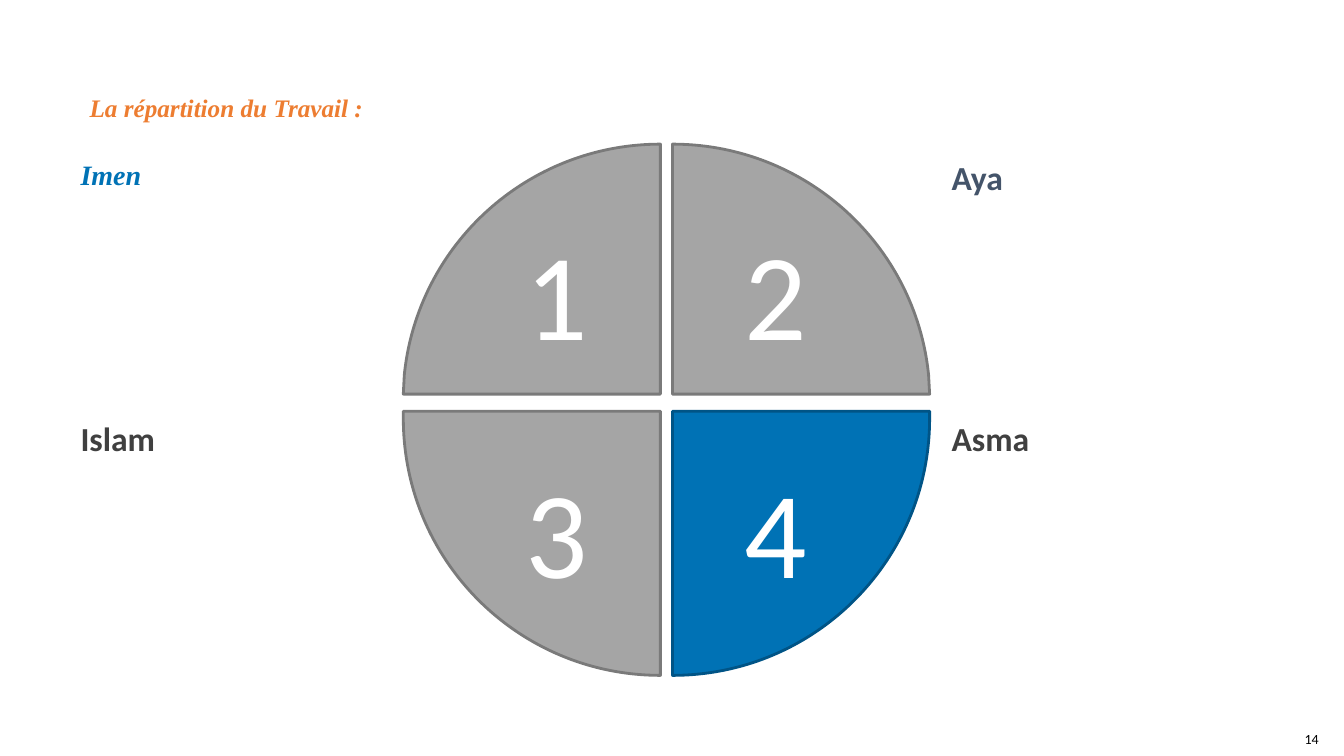
import lxml.etree
import pptx
import pptx.dml.color
import pptx.enum.text
import pptx.oxml.ns
import pptx.util

Inches = pptx.util.Inches
Pt = pptx.util.Pt
Align = pptx.enum.text.PP_ALIGN
Anchor = pptx.enum.text.MSO_ANCHOR
qn = pptx.oxml.ns.qn

COLORS = {
    "orange": "ED7D31",
    "blue": "0072B5",
    "blue_edge": "005486",
    "gray": "A5A5A5",
    "gray_edge": "7A7A7A",
    "white": "FFFFFF",
    "black": "000000",
    "dark": "404040",
    "slate": "44546A",
}
SERIF = {"name": "Times New Roman", "bold": True, "italic": True}
SANS_BOLD = {"name": "Calibri", "bold": True}
SANS = {"name": "Calibri"}
DEFAULT_INSETS = (0.1, 0.05, 0.1, 0.05)
UPPER_OUTLINE = [(0, 2.48), (1.32, 2.48), (2.41, 1.48), (2.54, 0.19), (2.55, 0)]
LOWER_OUTLINE = [(0, 2.62), (1.41, 2.62), (2.55, 1.48), (2.55, 0.07), (2.55, 0)]


def rgb(name):
    return pptx.dml.color.RGBColor.from_string(COLORS[name])


def apply_format(target, values):
    for name, value in values.items():
        setattr(target, name, value)


def add_text(page, text, area, size, color, font, insets=DEFAULT_INSETS,
             wrap=True, align=Align.LEFT, anchor=Anchor.TOP):
    box = page.shapes.add_textbox(*(Inches(length) for length in area))
    left, top, right, bottom = (Inches(inset) for inset in insets)
    apply_format(box.text_frame, {
        "word_wrap": wrap,
        "auto_size": pptx.enum.text.MSO_AUTO_SIZE.SHAPE_TO_FIT_TEXT,
        "vertical_anchor": anchor,
        "margin_left": left,
        "margin_top": top,
        "margin_right": right,
        "margin_bottom": bottom,
    })
    para = box.text_frame.paragraphs[0]
    para.alignment = align
    span = para.add_run()
    span.text = text
    apply_format(span.font, {"size": Pt(size), **font})
    span.font.color.rgb = rgb(color)


def bend_segment(shape, segment, points):
    curve = lxml.etree.Element(qn("a:cubicBezTo"))
    for x, y in points:
        point = lxml.etree.SubElement(curve, qn("a:pt"))
        point.set("x", str(x - shape.left))
        point.set("y", str(y - shape.top))
    segment.getparent().replace(segment, curve)


def add_quadrant(page, corner_x, corner_y, side_x, side_y, outline, fill, edge):
    apex, *controls, arc_end, side_end = [
        (Inches(corner_x + side_x * x), Inches(corner_y + side_y * y))
        for x, y in outline
    ]
    builder = page.shapes.build_freeform(Inches(corner_x), Inches(corner_y))
    builder.add_line_segments([apex, arc_end, side_end], close=True)
    quadrant = builder.convert_to_shape()
    arc_segment = list(quadrant.element.iter(qn("a:lnTo")))[1]
    bend_segment(quadrant, arc_segment, [*controls, arc_end])
    quadrant.shadow.inherit = False
    quadrant.fill.solid()
    quadrant.fill.fore_color.rgb = rgb(fill)
    quadrant.line.color.rgb = rgb(edge)
    quadrant.line.width = Pt(2)


def main():
    deck = pptx.Presentation()
    deck.slide_width = Inches(13.33)
    deck.slide_height = Inches(7.5)
    page = deck.slides.add_slide(deck.slide_layouts[6])

    add_text(page, "14", (12.92, 7.25, 0.16, 0.17), 10, "black", SANS,
             insets=(0, 0, 0, 0), wrap=False, align=Align.RIGHT, anchor=Anchor.MIDDLE)
    add_text(page, "La répartition du Travail :", (0.79, 0.92, 11.83, 0.3),
             18, "orange", SERIF, insets=(0.1, 0, 0, 0))

    columns = [(6.55, -1, 5.11, 0.7), (6.67, 1, 7.29, 9.34)]
    rows = [(3.91, -1, UPPER_OUTLINE, 2.11, 1.51), (4.08, 1, LOWER_OUTLINE, 4.47, 4.1)]
    members = [
        ("Imen", 20, "blue", SERIF, 0.77, "gray"),
        ("Aya", 24, "slate", SANS_BOLD, 0.5, "gray"),
        ("Islam", 24, "dark", SANS_BOLD, 0.5, "gray"),
        ("Asma", 24, "dark", SANS_BOLD, 0.5, "blue"),
    ]
    for index, (member, size, color, font, height, fill) in enumerate(members):
        corner_x, side_x, number_left, name_left = columns[index % 2]
        corner_y, side_y, outline, number_top, name_top = rows[index // 2]
        add_quadrant(page, corner_x, corner_y, side_x, side_y, outline,
                     fill, f"{fill}_edge")
        add_text(page, str(index + 1), (number_left, number_top, 0.83, 1.58),
                 88, "white", SANS, wrap=False)
        add_text(page, member, (name_left, name_top, 3.29, height), size, color, font)

    deck.save("out.pptx")


if __name__ == "__main__":
    main()
